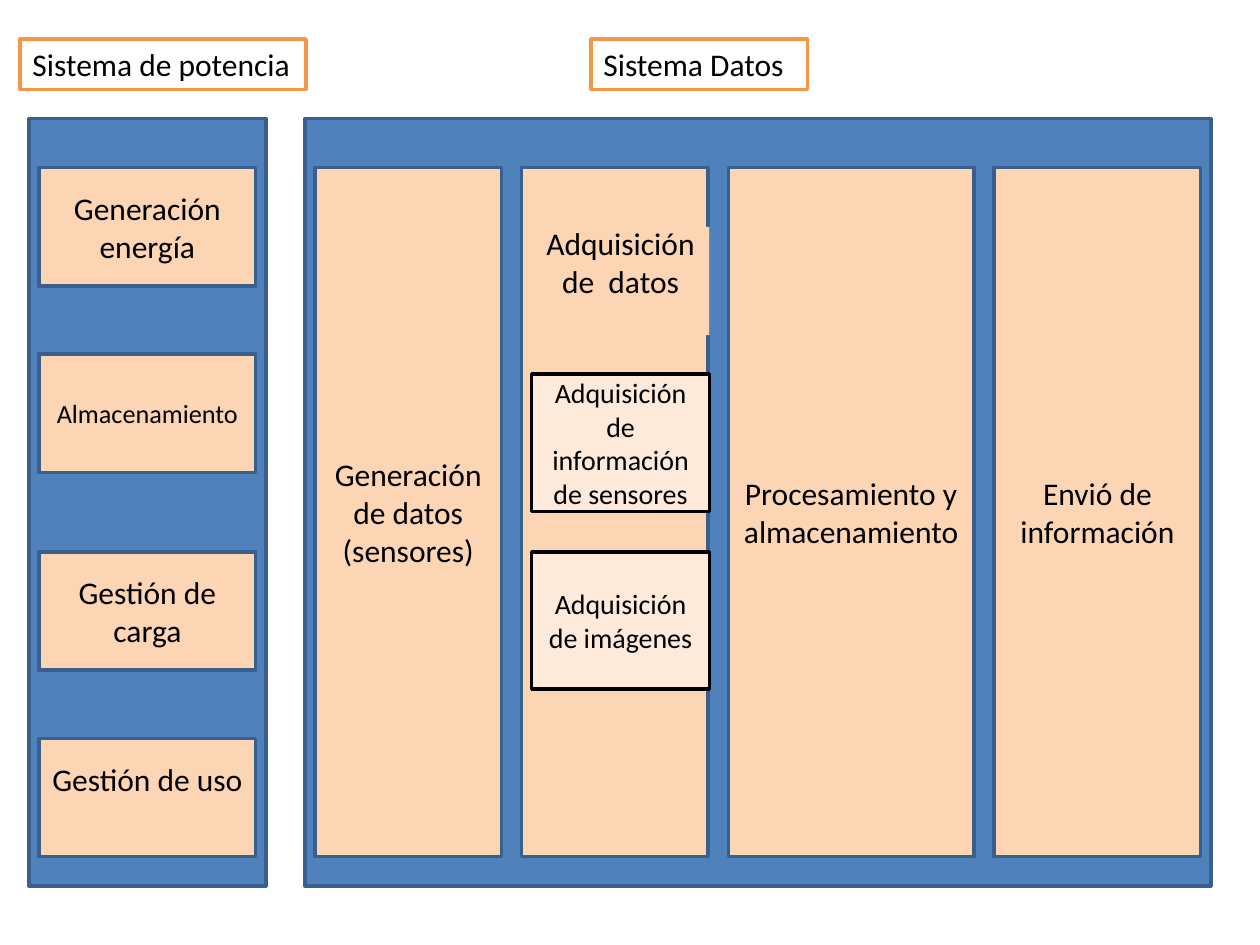
from dataclasses import dataclass

from pptx import Presentation
from pptx.dml.color import RGBColor
from pptx.enum.shapes import MSO_SHAPE
from pptx.enum.text import MSO_ANCHOR, PP_ALIGN
from pptx.util import Inches, Pt

RECTANGLE = MSO_SHAPE.RECTANGLE
TOP, MIDDLE = MSO_ANCHOR.TOP, MSO_ANCHOR.MIDDLE
LEFT, CENTER = PP_ALIGN.LEFT, PP_ALIGN.CENTER


@dataclass(frozen=True)
class Theme:
    font: str = "Calibri"
    text: str = "000000"
    panel: str = "4F81BD"
    panel_line: str = "3A5F8C"
    block: str = "FCD5B5"
    detail: str = "FDEADA"
    detail_line: str = "000000"
    title: str = "FFFFFF"
    title_line: str = "F79646"
    line_width: float = 2
    body_size: int = 18
    detail_size: int = 16
    small_size: int = 15


THEME = Theme()
BLOCK_TOP = 1.33
COLUMN_HEIGHT = 5.47
COLUMN_GAP = 0.16
RAISED_INSET = 0.35


def add_box(slide, left, top, width, height, fill, line=None):
    shape = slide.shapes.add_shape(
        RECTANGLE, Inches(left), Inches(top), Inches(width), Inches(height)
    )
    shape.shadow.inherit = False
    shape.fill.solid()
    shape.fill.fore_color.rgb = RGBColor.from_string(fill)
    if line:
        shape.line.color.rgb = RGBColor.from_string(line)
        shape.line.width = Pt(THEME.line_width)
    else:
        shape.line.fill.background()
    return shape


def set_text(shape, text, size=THEME.body_size, alignment=CENTER, anchor=MIDDLE):
    frame = shape.text_frame
    frame.text = text
    frame.word_wrap = True
    frame.vertical_anchor = anchor
    for paragraph in frame.paragraphs:
        paragraph.alignment = alignment
        for run in paragraph.runs:
            run.font.name = THEME.font
            run.font.size = Pt(size)
            run.font.color.rgb = RGBColor.from_string(THEME.text)


def raise_text(shape):
    shape.text_frame.margin_bottom = Inches(RAISED_INSET)


def add_panel(slide, left, width):
    add_box(slide, left, 0.94, width, 6.09, THEME.panel, THEME.panel_line)


def add_title(slide, left, width, text):
    shape = add_box(slide, left, 0.31, width, 0.4, THEME.title, THEME.title_line)
    set_text(shape, text, alignment=LEFT, anchor=TOP)


def add_columns(slide, columns):
    left = 2.5
    for width, text in columns:
        shape = add_box(slide, left, BLOCK_TOP, width, COLUMN_HEIGHT,
                        THEME.block, THEME.panel_line)
        if text:
            set_text(shape, text)
        left += width + COLUMN_GAP


def add_power_block(slide, top, text, size=THEME.body_size):
    shape = add_box(slide, 0.31, top, 1.72, 0.94, THEME.block, THEME.panel_line)
    set_text(shape, text, size)
    return shape


def add_acquisition_heading(slide, text):
    shape = add_box(slide, 4.22, 1.8, 1.41, 0.86, THEME.block)
    set_text(shape, text)
    raise_text(shape)


def add_acquisition_detail(slide, top, text):
    shape = add_box(slide, 4.22, top, 1.41, 1.09, THEME.detail, THEME.detail_line)
    set_text(shape, text, THEME.detail_size)


def main():
    presentation = Presentation()
    presentation.slide_width = Inches(10)
    presentation.slide_height = Inches(7.5)
    slide = presentation.slides.add_slide(presentation.slide_layouts[6])

    add_panel(slide, 0.23, 1.88)
    add_panel(slide, 2.42, 7.19)
    add_title(slide, 0.16, 2.27, "Sistema de potencia")
    add_title(slide, 4.69, 1.72, "Sistema Datos")

    add_columns(slide, [
        (1.48, "Generación de datos\n(sensores)"),
        (1.48, None),
        (1.95, "Procesamiento y almacenamiento"),
        (1.64, "Envió de información"),
    ])

    add_power_block(slide, BLOCK_TOP, "Generación energía")
    add_power_block(slide, 2.81, "Almacenamiento", THEME.small_size)
    add_power_block(slide, 4.38, "Gestión de carga")
    raise_text(add_power_block(slide, 5.86, "Gestión de uso"))

    add_acquisition_heading(slide, "Adquisición de  datos")
    add_acquisition_detail(slide, 2.97, "Adquisición de información de sensores")
    add_acquisition_detail(slide, 4.38, "Adquisición de imágenes")

    presentation.save("out.pptx")


main()
